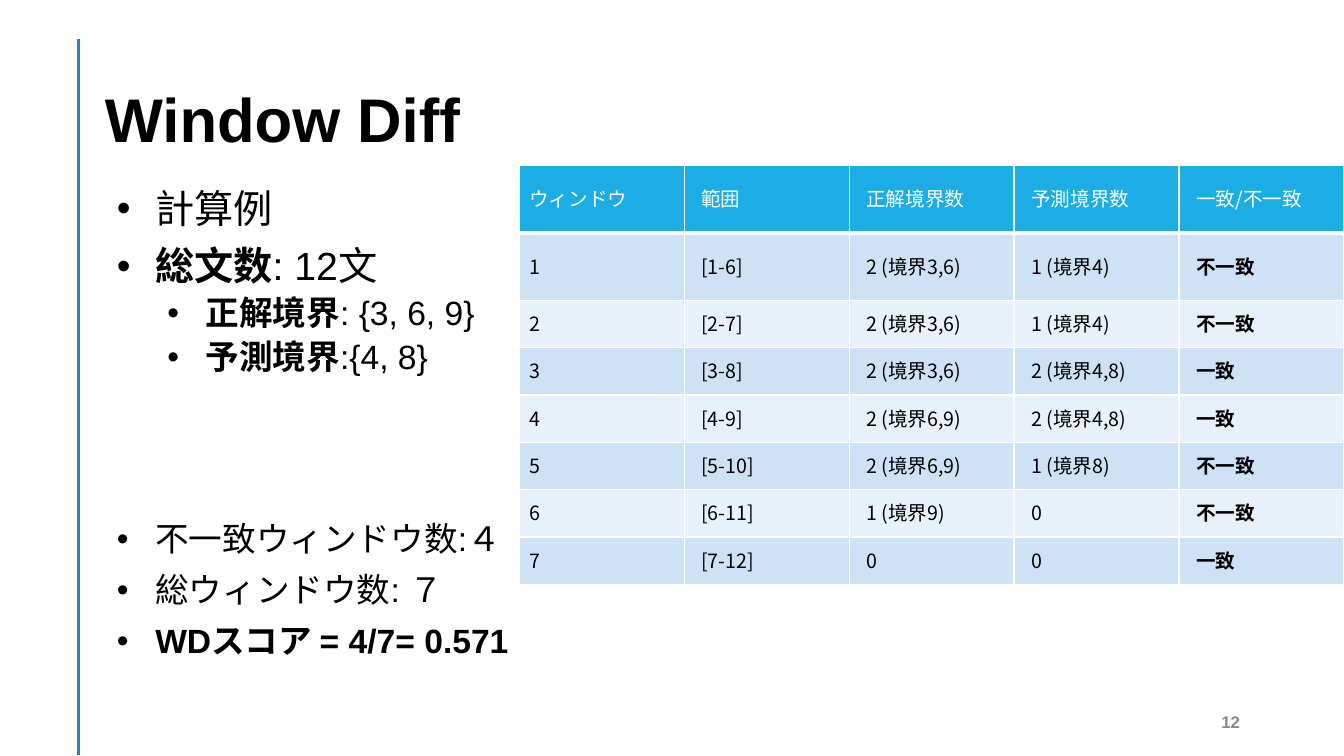
from lxml import etree
from pptx import Presentation
from pptx.dml.color import RGBColor
from pptx.enum.shapes import MSO_CONNECTOR
from pptx.enum.text import MSO_ANCHOR, MSO_AUTO_SIZE, PP_ALIGN
from pptx.oxml.ns import qn
from pptx.util import Inches, Pt

STRAIGHT = MSO_CONNECTOR.STRAIGHT
TOP, MIDDLE = MSO_ANCHOR.TOP, MSO_ANCHOR.MIDDLE
LEFT, RIGHT = PP_ALIGN.LEFT, PP_ALIGN.RIGHT
NO_AUTOFIT = MSO_AUTO_SIZE.NONE
LATIN_FONT, JAPANESE_FONT = "Arial", "Noto Sans CJK JP"
BLACK, WHITE, GRAY = "000000", "FFFFFF", "888888"
RULE_BLUE, HEADER_BLUE = "2683C6", "1CADE4"
BAND_FILLS = ("CDE3F5", "E8F1FA")

# Each bullet: level, size, space before, spans of (text, bold).
BULLETS = [
    (0, 28, 0, [("計算例", False)]),
    (0, 28, 10, [("総文数", True), (": 12文", False)]),
    (1, 24, 5, [("正解境界", True), (": {3, 6, 9}", False)]),
    (1, 24, 5, [("予測境界", True), (":{4, 8}", False)]),
    (0, 24, 103, [("不一致ウィンドウ数:４", False)]),
    (0, 24, 10, [("総ウィンドウ数: ７", False)]),
    (0, 24, 10, [("WDスコア = 4/7= 0.571", True)]),
]
WINDOW_ROWS = [
    ("ウィンドウ", "範囲", "正解境界数", "予測境界数", "一致/不一致"),
    ("1", "[1-6]", "2 (境界3,6)", "1 (境界4)", "不一致"),
    ("2", "[2-7]", "2 (境界3,6)", "1 (境界4)", "不一致"),
    ("3", "[3-8]", "2 (境界3,6)", "2 (境界4,8)", "一致"),
    ("4", "[4-9]", "2 (境界6,9)", "2 (境界4,8)", "一致"),
    ("5", "[5-10]", "2 (境界6,9)", "1 (境界8)", "不一致"),
    ("6", "[6-11]", "1 (境界9)", "0", "不一致"),
    ("7", "[7-12]", "0", "0", "一致"),
]


def color(value):
    """Turn a hex string into a colour."""
    return RGBColor.from_string(value)


def style_span(span, size, hex_color, bold=False, font=LATIN_FONT):
    """Format one run, with the Japanese font for its Japanese letters."""
    span.font.size = Pt(size)
    span.font.bold = bold
    span.font.name = font
    span.font.color.rgb = color(hex_color)
    east_asian = etree.Element(qn("a:ea"), typeface=JAPANESE_FONT)
    span.font._element.find(qn("a:latin")).addnext(east_asian)


def prepare_frame(shape, box, anchor):
    """Place a text shape in its box and return its text frame."""
    shape.left, shape.top, shape.width, shape.height = map(Inches, box)
    frame = shape.text_frame
    frame.word_wrap = True
    frame.auto_size = NO_AUTOFIT
    frame.vertical_anchor = anchor
    frame.margin_left = frame.margin_top = frame.margin_right = Inches(0.12)
    frame.margin_bottom = Inches(0.1)
    return frame


def add_rule(page, left, top, bottom):
    """Draw the vertical line beside the content."""
    rule = page.shapes.add_connector(
        STRAIGHT, Inches(left), Inches(top), Inches(left), Inches(bottom))
    rule.line.color.rgb = color(RULE_BLUE)
    rule.line.width = Pt(2)
    etree.SubElement(rule._element.spPr, qn("a:effectLst"))


def add_label(shape, box, text, size, hex_color, align):
    """Fill a shape with one bold line of text."""
    frame = prepare_frame(shape, box, MIDDLE)
    frame.text = text
    para = frame.paragraphs[0]
    para.alignment = align
    style_span(para.runs[0], size, hex_color, bold=True)


def set_bullet(para, indent):
    """Give a paragraph a round bullet with a hanging indent."""
    properties = para._p.get_or_add_pPr()
    properties.set("marL", str(Inches(indent)))
    properties.set("indent", str(Inches(-0.38)))
    etree.SubElement(properties, qn("a:buFont"), typeface=LATIN_FONT)
    etree.SubElement(properties, qn("a:buChar"), char="•")


def add_bullets(shape, box):
    """Write the worked example into the body placeholder."""
    frame = prepare_frame(shape, box, TOP)
    for index, (level, size, space, spans) in enumerate(BULLETS):
        para = frame.add_paragraph() if index else frame.paragraphs[0]
        para.level = level
        set_bullet(para, 0.5 * (level + 1))
        para.alignment = LEFT
        para.line_spacing = 0.92
        para.space_before = Pt(space)
        for text, bold in spans:
            span = para.add_run()
            span.text = text
            style_span(span, size, BLACK, bold)


def set_borders(cell, top_width, bottom_width):
    """Draw white lines round a cell."""
    properties = cell._tc.get_or_add_tcPr()
    widths = {"lnL": 1, "lnR": 1, "lnT": top_width, "lnB": bottom_width}
    for index, (side, width) in enumerate(widths.items()):
        line = etree.Element(qn(f"a:{side}"), w=str(Pt(width)))
        fill = etree.SubElement(line, qn("a:solidFill"))
        etree.SubElement(fill, qn("a:srgbClr"), val=WHITE)
        properties.insert(index, line)


def add_window_table(page, box):
    """Add the table that compares boundaries window by window."""
    left, top, width, height = map(Inches, box)
    row_count, column_count = len(WINDOW_ROWS), len(WINDOW_ROWS[0])
    table = page.shapes.add_table(
        row_count, column_count, left, top, width, height).table
    last = column_count - 1
    for row_index, texts in enumerate(WINDOW_ROWS):
        header = row_index == 0
        table.rows[row_index].height = Inches(0.67 if row_index < 2 else 0.43 + 0.04)
        fill = HEADER_BLUE if header else BAND_FILLS[(row_index - 1) % 2]
        for column_index, text in enumerate(texts):
            cell = table.cell(row_index, column_index)
            cell.fill.solid()
            cell.fill.fore_color.rgb = color(fill)
            cell.vertical_anchor = MIDDLE
            cell.margin_left = Inches(0.17 if column_index else 0.1)
            cell.margin_right = Inches(0.1 if column_index == last else 0.17)
            cell.margin_top = cell.margin_bottom = Inches(0.1)
            cell.text = text
            para = cell.text_frame.paragraphs[0]
            para.line_spacing = Pt(18.8)
            style_span(para.runs[0], 14, WHITE if header else BLACK,
                       bold=not header and column_index == last,
                       font=JAPANESE_FONT)
            set_borders(cell, 3 if row_index == 1 else 1, 3 if header else 1)


def build_page(deck):
    """Build the Window Diff page."""
    page = deck.slides.add_slide(deck.slide_layouts[1])
    title, body = page.placeholders
    add_rule(page, 0.78, 0.39, 7.49)
    add_label(title, (0.92, 0.4, 11.5, 1.45), "Window Diff", 44, BLACK, LEFT)
    title.text_frame.paragraphs[0].line_spacing = 1.1
    add_bullets(body, (0.92, 1.75, 11.5, 5.67))
    number = page.shapes.add_textbox(0, 0, 0, 0)
    add_label(number, (9.42, 6.95, 3, 0.4), "12", 12, GRAY, RIGHT)
    add_window_table(page, (5.15, 1.64, 8.18, 4.16))


def main():
    """Create the deck and save it."""
    deck = Presentation()
    deck.slide_width, deck.slide_height = Inches(13.33), Inches(7.5)
    build_page(deck)
    deck.save("out.pptx")


if __name__ == "__main__":
    main()
